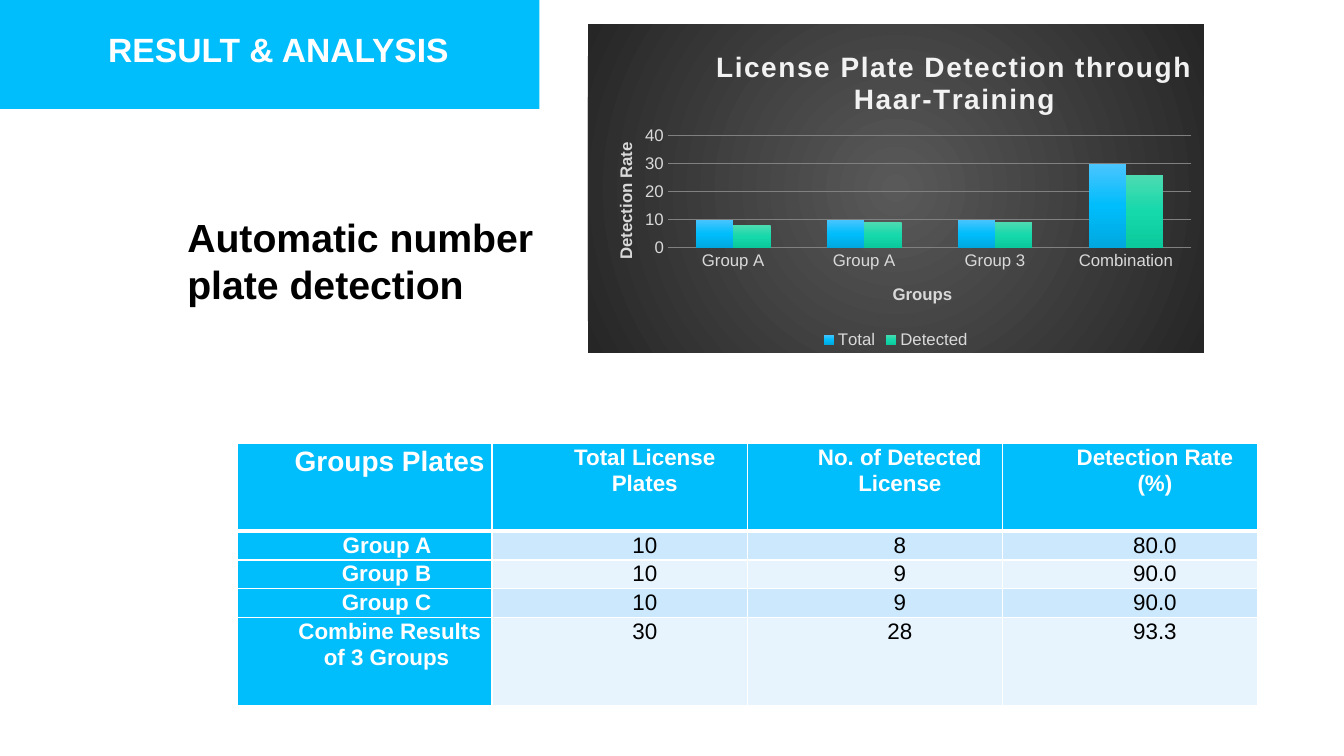
"""Build the result slide: a heading, a bar chart and a table of detection rates."""
from dataclasses import dataclass

from pptx import Presentation
from pptx.chart.chart import Chart
from pptx.chart.data import CategoryChartData
from pptx.dml.color import RGBColor
from pptx.enum.chart import XL_CHART_TYPE, XL_LEGEND_POSITION, XL_TICK_MARK
from pptx.enum.shapes import MSO_SHAPE
from pptx.enum.text import MSO_ANCHOR, MSO_AUTO_SIZE, PP_ALIGN
from pptx.oxml import parse_xml
from pptx.oxml.ns import nsdecls, qn
from pptx.oxml.xmlchemy import BaseOxmlElement
from pptx.slide import Slide
from pptx.table import _Cell
from pptx.text.text import TextFrame, _Paragraph
from pptx.util import Pt

PX = 9144
FONT = "Arial"
WHITE = RGBColor(0xFF, 0xFF, 0xFF)
BLACK = RGBColor(0x00, 0x00, 0x00)
BLUE = RGBColor(0x00, 0xBD, 0xFB)
PALE = RGBColor(0xE7, 0xF4, 0xFE)
SKY = RGBColor(0xCC, 0xE8, 0xFD)
CLOUD = RGBColor(0xF2, 0xF2, 0xF2)
SILVER = RGBColor(0xD9, 0xD9, 0xD9)
GRAY = RGBColor(0x80, 0x80, 0x80)
COAL = RGBColor(0x59, 0x59, 0x59)
SOOT = RGBColor(0x26, 0x26, 0x26)
BLUES = (RGBColor(0x4B, 0xC5, 0xFF), BLUE, RGBColor(0x00, 0xA8, 0xDF))
GREENS = (RGBColor(0x4E, 0xDA, 0xB1), RGBColor(0x15, 0xD9, 0xAB), RGBColor(0x0B, 0xC9, 0x9C))
LINEAR = '<a:lin ang="5400000" scaled="0"/>'
ROUND = '<a:path path="circle"><a:fillToRect l="50000" t="50000" r="50000" b="50000"/></a:path>'


@dataclass(frozen=True)
class Box:
    left: int
    top: int
    width: int
    height: int

    def emu(self) -> tuple[int, int, int, int]:
        return self.left * PX, self.top * PX, self.width * PX, self.height * PX


@dataclass(frozen=True)
class Style:
    size: int
    color: RGBColor
    bold: bool = True


@dataclass(frozen=True)
class Bars:
    name: str
    rates: tuple[int, ...]
    shades: tuple[RGBColor, ...]


@dataclass(frozen=True)
class Row:
    height: int
    texts: tuple[str, ...]


GROUPS = ("Group A", "Group A", "Group 3", "Combination")
SERIES = (
    Bars("Total", (10, 10, 10, 30), BLUES),
    Bars("Detected", (8, 9, 9, 26), GREENS),
)
ROWS = (
    Row(87, ("Groups Plates ", "Total License Plates", "No. of Detected License", "Detection Rate (%)")),
    Row(28, ("Group A ", "10", "8", "80.0")),
    Row(28, ("Group B ", "10", "9", "90.0")),
    Row(28, ("Group C ", "10", "9", "90.0")),
    Row(87, ("Combine Results of 3 Groups ", "30", "28", "93.3")),
)


def write(para: _Paragraph, text: str, style: Style) -> None:
    run = para.add_run()
    run.text = text
    run.font.name = FONT
    run.font.size = Pt(style.size)
    run.font.bold = style.bold
    run.font.color.rgb = style.color


def blend(shades: tuple[RGBColor, ...], way: str) -> str:
    step = 100000 // (len(shades) - 1)
    stops = "".join(
        f'<a:gs pos="{at * step}"><a:srgbClr val="{shade}"/></a:gs>' for at, shade in enumerate(shades)
    )
    return f'<a:gradFill {nsdecls("a")} rotWithShape="1"><a:gsLst>{stops}</a:gsLst>{way}</a:gradFill>'


def place(node: BaseOxmlElement, index: int, **spots: float) -> None:
    for old in node.findall(qn("c:layout")):
        node.remove(old)
    inner = '<c:layoutTarget val="inner"/>' if "w" in spots else ""
    modes = "".join(f'<c:{key}Mode val="edge"/>' for key in ("x", "y"))
    sizes = "".join(f'<c:{key} val="{spot}"/>' for key, spot in spots.items())
    node.insert(index, parse_xml(
        f'<c:layout {nsdecls("c")}><c:manualLayout>{inner}{modes}{sizes}</c:manualLayout></c:layout>'
    ))


def label(frame: TextFrame, node: BaseOxmlElement, text: str, style: Style, x: float, y: float) -> None:
    write(frame.paragraphs[0], text, style)
    place(node, 1, x=x, y=y)


def paint(chart: Chart) -> None:
    back = parse_xml(
        f'<c:spPr {nsdecls("c", "a")}>{blend((COAL, SOOT), ROUND)}<a:ln><a:noFill/></a:ln></c:spPr>'
    )
    chart._chartSpace.find(qn("c:chart")).addnext(back)
    for bars, series in zip(SERIES, chart.plots[0].series):
        series._element.get_or_add_spPr().insert(0, parse_xml(blend(bars.shades, LINEAR)))


def draw_chart(slide: Slide, box: Box) -> None:
    data = CategoryChartData()
    data.categories = GROUPS
    for bars in SERIES:
        data.add_series(bars.name, bars.rates)
    chart = slide.shapes.add_chart(XL_CHART_TYPE.COLUMN_CLUSTERED, *box.emu(), data).chart
    chart.font.name = FONT
    chart.font.size = Pt(12)
    chart.font.color.rgb = SILVER
    plot = chart.plots[0]
    plot.gap_width = 150
    plot.overlap = 0
    plot.vary_by_categories = False
    place(chart._chartSpace.chart.plotArea, 0, x=0.13, y=0.34, w=0.85, h=0.34)

    title = chart.chart_title
    label(title.text_frame, title._element, "License Plate Detection through Haar-Training",
          Style(20, CLOUD), 0.2, 0.06)
    title.text_frame.paragraphs[0].runs[0].font._element.set("spc", "100")
    titles = (
        (chart.category_axis, "Groups", 0.49, 0.78),
        (chart.value_axis, "Detection Rate", 0.04, 0.35),
    )
    for axis, text, x, y in titles:
        label(axis.axis_title.text_frame, axis.axis_title._element, text, Style(12, SILVER), x, y)
        axis.major_tick_mark = axis.minor_tick_mark = XL_TICK_MARK.NONE
        axis.format.line.fill.background()
        axis.tick_labels.font.name = FONT
        axis.tick_labels.font.size = Pt(12)
        axis.tick_labels.font.color.rgb = SILVER
    scale = chart.value_axis
    scale.minimum_scale, scale.maximum_scale, scale.major_unit = 0, 40, 10
    scale.major_gridlines.format.line.color.rgb = GRAY
    scale.major_gridlines.format.line.width = Pt(0.75)

    chart.has_legend = True
    chart.legend.position = XL_LEGEND_POSITION.BOTTOM
    chart.legend.include_in_layout = False
    chart.legend.font.name = FONT
    chart.legend.font.size = Pt(12)
    chart.legend.font.color.rgb = SILVER
    paint(chart)


def edge(cell: _Cell, row: int) -> None:
    widths = {"L": 1, "R": 1, "T": 3 if row == 1 else 1, "B": 3 if row == 0 else 1}
    for index, (side, width) in enumerate(widths.items()):
        cell._tc.get_or_add_tcPr().insert(index, parse_xml(
            f'<a:ln{side} {nsdecls("a")} w="{Pt(width)}"><a:solidFill><a:srgbClr val="{WHITE}"/>'
            f'</a:solidFill></a:ln{side}>'
        ))


def draw_table(slide: Slide, box: Box) -> None:
    count = len(ROWS[0].texts)
    table = slide.shapes.add_table(len(ROWS), count, *box.emu()).table
    table.horz_banding = False
    for column in table.columns:
        column.width = box.width * PX // count
    for r, row in enumerate(ROWS):
        table.rows[r].height = row.height * PX
        for c, text in enumerate(row.texts):
            cell = table.cell(r, c)
            head = r == 0 or c == 0
            cell.margin_left = cell.margin_right = 7 * PX
            cell.margin_top = cell.margin_bottom = 0
            cell.fill.solid()
            cell.fill.fore_color.rgb = BLUE if head else SKY if r % 2 else PALE
            edge(cell, r)
            para = cell.text_frame.paragraphs[0]
            para.alignment = PP_ALIGN.CENTER
            para.line_spacing = 1.07
            para._p.get_or_add_pPr().set("marL", str(50 * PX))
            write(para, text, Style(20 if r == c == 0 else 16, WHITE if head else BLACK, head))


def draw_heads(slide: Slide) -> None:
    bar = slide.shapes.add_shape(MSO_SHAPE.RECTANGLE, *Box(0, 0, 535, 108).emu())
    bar.shadow.inherit = False
    bar.fill.solid()
    bar.fill.fore_color.rgb = BLUE
    bar.line.fill.background()
    title = slide.shapes.title
    title.element.addprevious(bar.element)
    title.left, title.top, title.width, title.height = Box(24, 24, 431, 50).emu()
    title.text_frame.auto_size = MSO_AUTO_SIZE.NONE
    title.text_frame.vertical_anchor = MSO_ANCHOR.MIDDLE
    title.text_frame.paragraphs[0].alignment = PP_ALIGN.RIGHT
    write(title.text_frame.paragraphs[0], "RESULT & ANALYSIS", Style(24, WHITE))
    topic = slide.shapes.add_textbox(*Box(176, 207, 433, 104).emu()).text_frame
    topic.word_wrap = True
    write(topic.paragraphs[0], "Automatic number plate detection", Style(28, BLACK))


def main() -> None:
    deck = Presentation()
    deck.slide_width, deck.slide_height = 1333 * PX, 750 * PX
    slide = deck.slides.add_slide(deck.slide_layouts[5])
    draw_heads(slide)
    draw_table(slide, Box(235, 440, 1012, 258))
    draw_chart(slide, Box(583, 24, 611, 326))
    deck.save("out.pptx")


if __name__ == "__main__":
    main()
